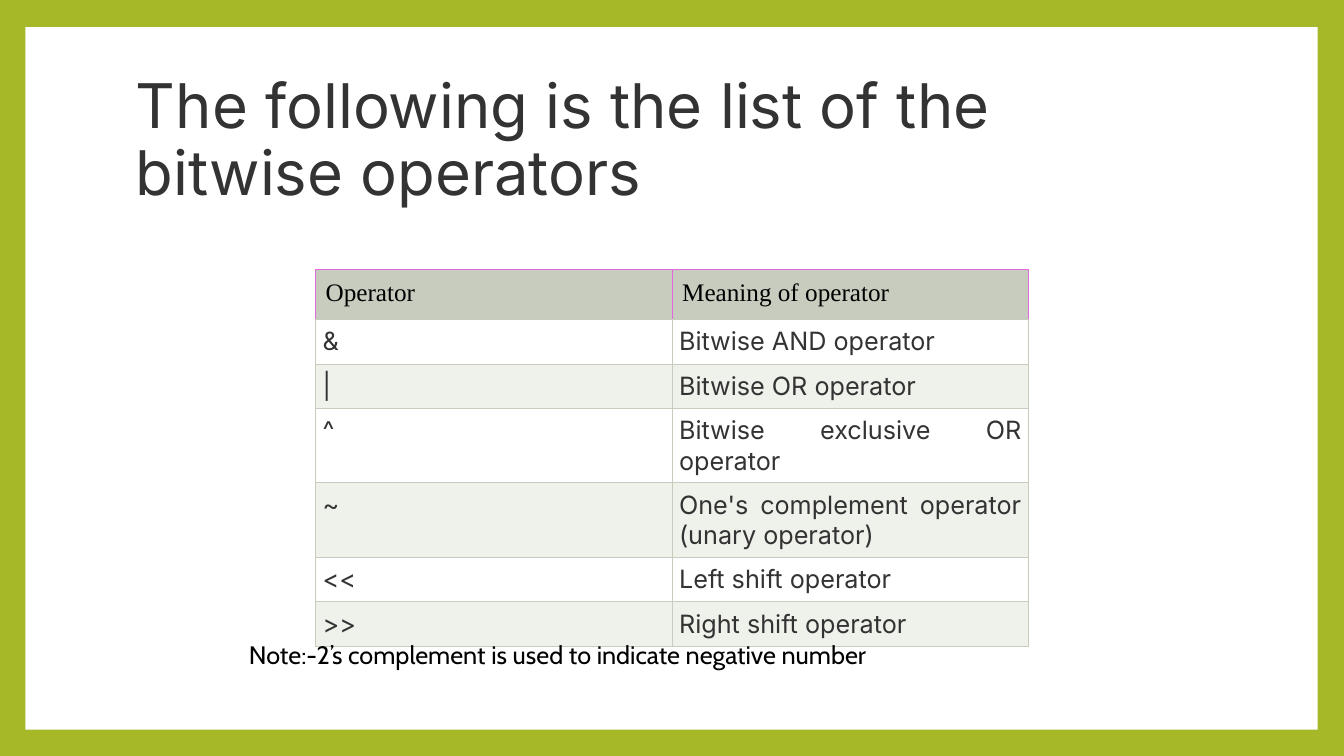
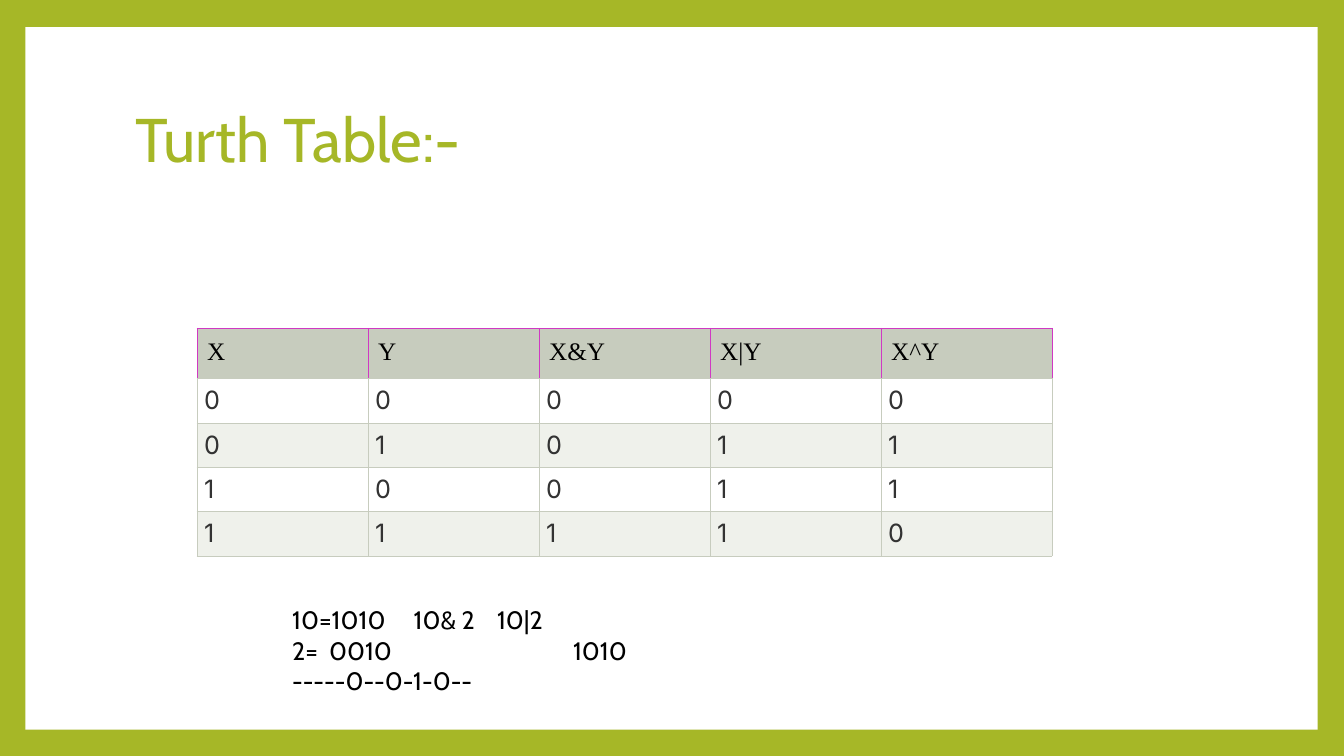
"""Two slides on bitwise operators: the operator list and the truth table."""
from lxml import etree
from pptx import Presentation
from pptx import util as u
from pptx.dml.color import RGBColor
from pptx.enum import shapes, text
from pptx.oxml import ns

GREEN, WHITE, BLACK, INK = "A6B727", "FFFFFF", "000000", "333333"
SAGE, PALE = "C7CCBE", "EFF1EB"
SLIDE_WIDTH, SLIDE_HEIGHT = u.Inches(13.33), u.Inches(7.5)
HEADER_ROW, BODY_ROW = 6.4, 5.8

colour = RGBColor.from_string


def box(left, top, width, height):
    """Turn percentages of the slide into left, top, width and height."""
    sides = (SLIDE_WIDTH, SLIDE_HEIGHT, SLIDE_WIDTH, SLIDE_HEIGHT)
    return [round(side * share / 100) for side, share in zip(sides, (left, top, width, height))]


def style(paragraph, face, size, ink):
    """Set the font of a whole paragraph."""
    font = paragraph.font
    font.name, font.size, font.bold = face, u.Pt(size), False
    font.color.rgb = colour(ink)


pages = [
    {
        "title": ("The following is the list of the bitwise operators", "Inter", INK),
        "table": (23.48, 35.6, 53.05),
        "edge": "E069DC",
        "rows": [
            ("Operator", "Meaning of operator"),
            ("&", "Bitwise AND operator"),
            ("|", "Bitwise OR operator"),
            ("^", "Bitwise exclusive OR operator"),
            ("~", "One's complement operator (unary operator)"),
            ("<<", "Left shift operator"),
            (">>", "Right shift operator"),
        ],
        "note": (17.78, 83.87, 54, 5.33),
        "lines": [("Note:-2’s complement is used to indicate negative number", ())],
    },
    {
        "title": ("Turth Table:-", "Cabin", GREEN),
        "table": (14.66, 43.4, 63.62),
        "edge": "D038C3",
        "rows": [("X", "Y", "X&Y", "X|Y", "X^Y")]
        + [(x, y, x & y, x | y, x ^ y) for x in (0, 1) for y in (0, 1)],
        "note": (21, 79.33, 34.65, 13.47),
        "lines": [
            ("10=1010\t10& 2\t10|2", (9.05, 15.25)),
            ("2=\t0010", (2.75,)),
            ("-----0--0-1-0--", ()),
        ],
    },
]
pages[1]["lines"][1] = ("2=\t0010\t1010", (2.75, 20.9))

presentation = Presentation()
presentation.slide_width, presentation.slide_height = SLIDE_WIDTH, SLIDE_HEIGHT

for page in pages:
    slide = presentation.slides.add_slide(presentation.slide_layouts[6])
    slide.background.fill.solid()
    slide.background.fill.fore_color.rgb = colour(GREEN)

    panel = slide.shapes.add_shape(shapes.MSO_SHAPE.RECTANGLE, *box(1.88, 3.6, 96.15, 92.93))
    panel.shadow.inherit = False
    panel.fill.solid()
    panel.fill.fore_color.rgb = colour(WHITE)
    panel.line.fill.background()

    title_text, title_face, title_ink = page["title"]
    title = slide.shapes.add_textbox(*box(9.38, 8.93, 81, 19.73)).text_frame
    title.word_wrap = True
    title.vertical_anchor = text.MSO_ANCHOR.MIDDLE
    title.text = title_text
    title.paragraphs[0].line_spacing = 0.9
    style(title.paragraphs[0], title_face, 44, title_ink)

    rows = page["rows"]
    table_height = HEADER_ROW + BODY_ROW * (len(rows) - 1)
    table = slide.shapes.add_table(
        len(rows), len(rows[0]), *box(*page["table"], table_height)).table
    table.horz_banding = False
    for row_index, values in enumerate(rows):
        header = row_index == 0
        row_share = HEADER_ROW if header else BODY_ROW
        table.rows[row_index].height = round(SLIDE_HEIGHT * row_share / 100)
        for column_index, value in enumerate(values):
            cell = table.cell(row_index, column_index)
            cell.text = str(value)
            inset = u.Inches(0.1 if header else 0.07)
            cell.margin_left = cell.margin_right = inset
            cell.margin_top = cell.margin_bottom = inset
            paragraph = cell.text_frame.paragraphs[0]
            if header:
                style(paragraph, "Times New Roman", 18, BLACK)
            else:
                style(paragraph, "Inter", 18, INK)
                paragraph.alignment = text.PP_ALIGN.JUSTIFY
            properties = cell._tc.get_or_add_tcPr()
            for side in "LRTB":
                border = etree.SubElement(properties, ns.qn(f"a:ln{side}"), w=str(u.Pt(0.6)))
                fill = etree.SubElement(border, ns.qn("a:solidFill"))
                edge = page["edge"] if header and side != "B" else SAGE
                etree.SubElement(fill, ns.qn("a:srgbClr"), val=edge)
            cell.fill.solid()
            cell.fill.fore_color.rgb = colour(SAGE if header else WHITE if row_index % 2 else PALE)

    note = slide.shapes.add_textbox(*box(*page["note"])).text_frame
    note.word_wrap = True
    note.text = "\n".join(line for line, stops in page["lines"])
    for paragraph, (line, stops) in zip(note.paragraphs, page["lines"]):
        style(paragraph, "Cabin", 18, BLACK)
        if stops:
            tabs = etree.Element(ns.qn("a:tabLst"))
            paragraph._p.get_or_add_pPr().insert(0, tabs)
            for stop in stops:
                position = str(round(SLIDE_WIDTH * stop / 100))
                etree.SubElement(tabs, ns.qn("a:tab"), pos=position, algn="l")

presentation.save("out.pptx")
